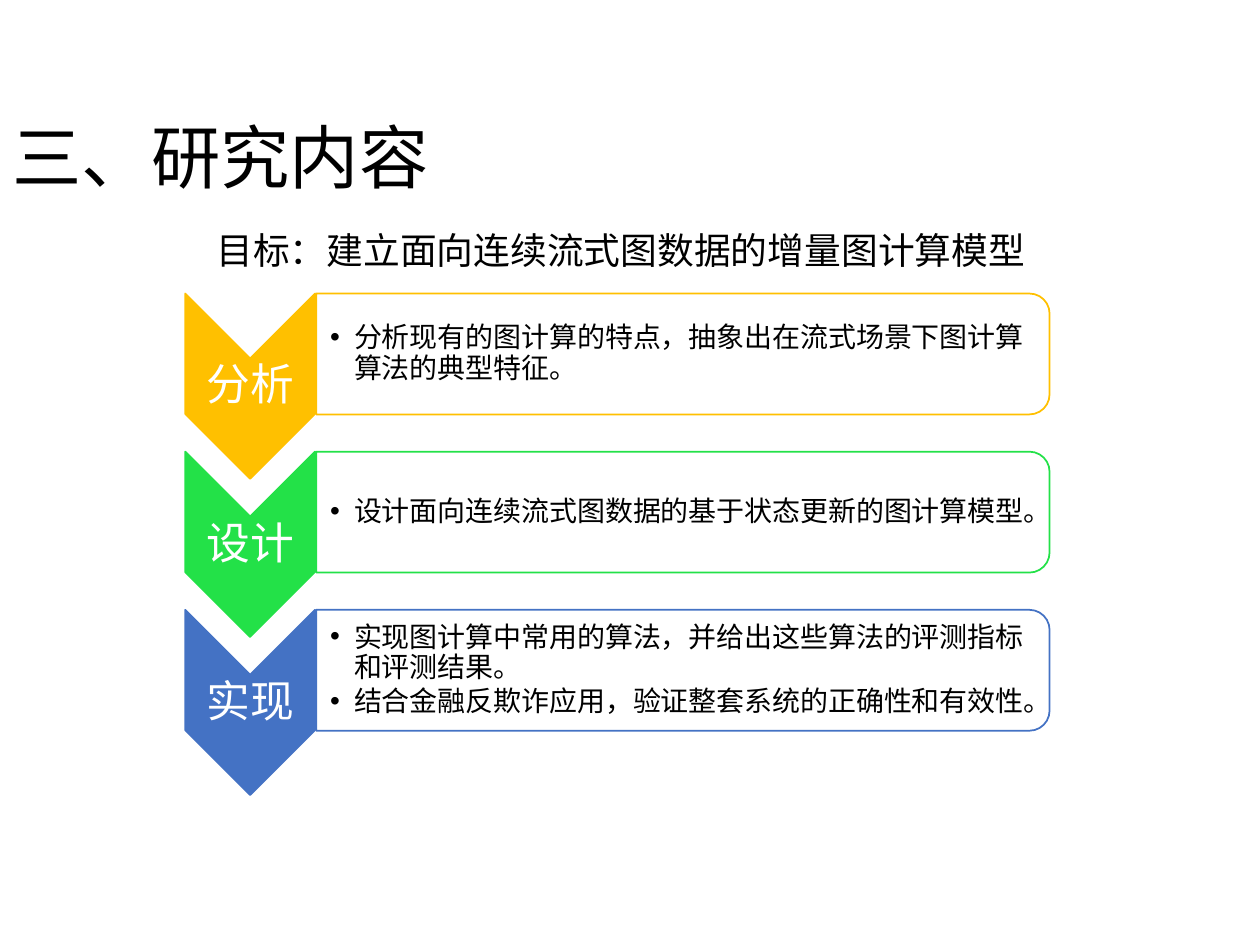
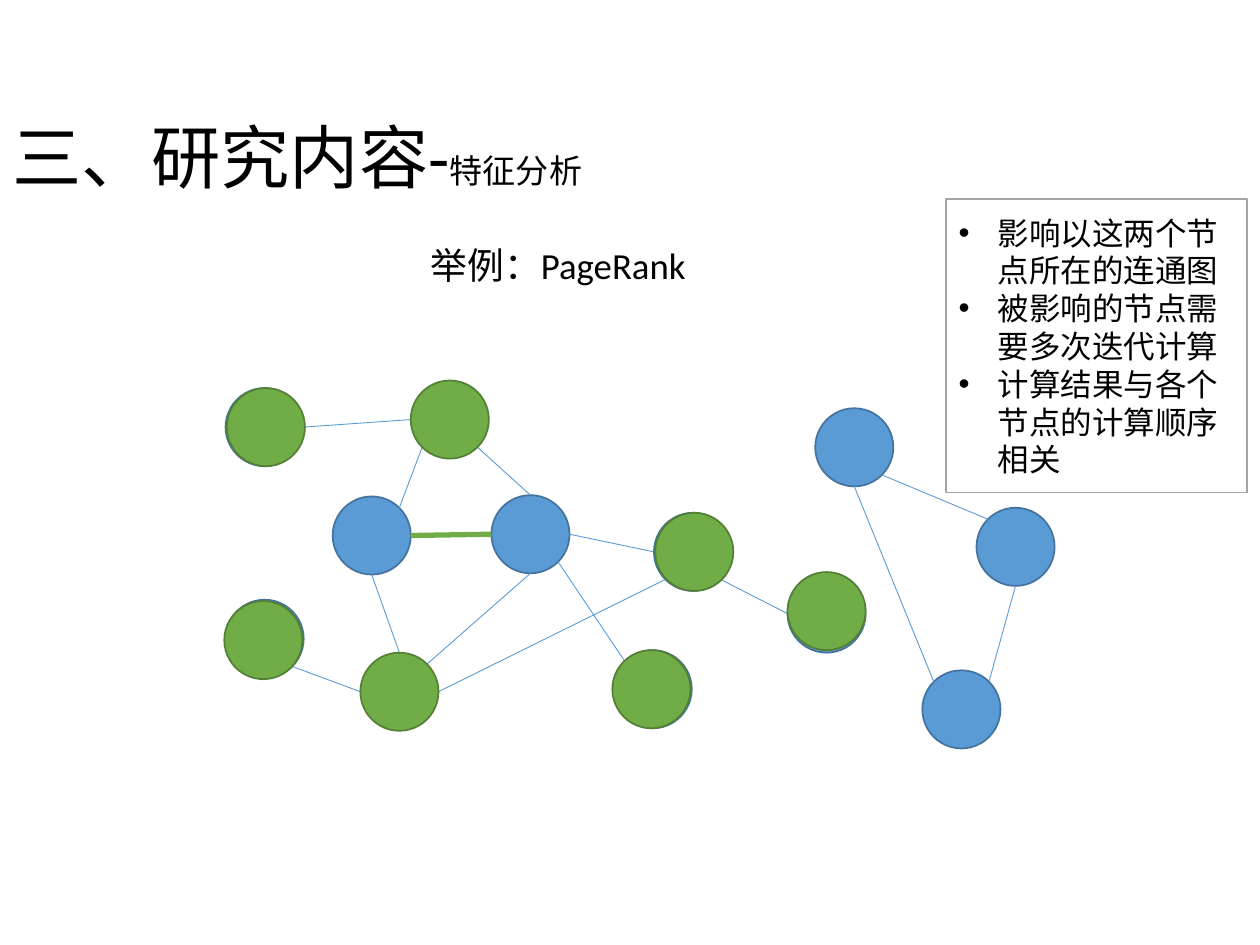
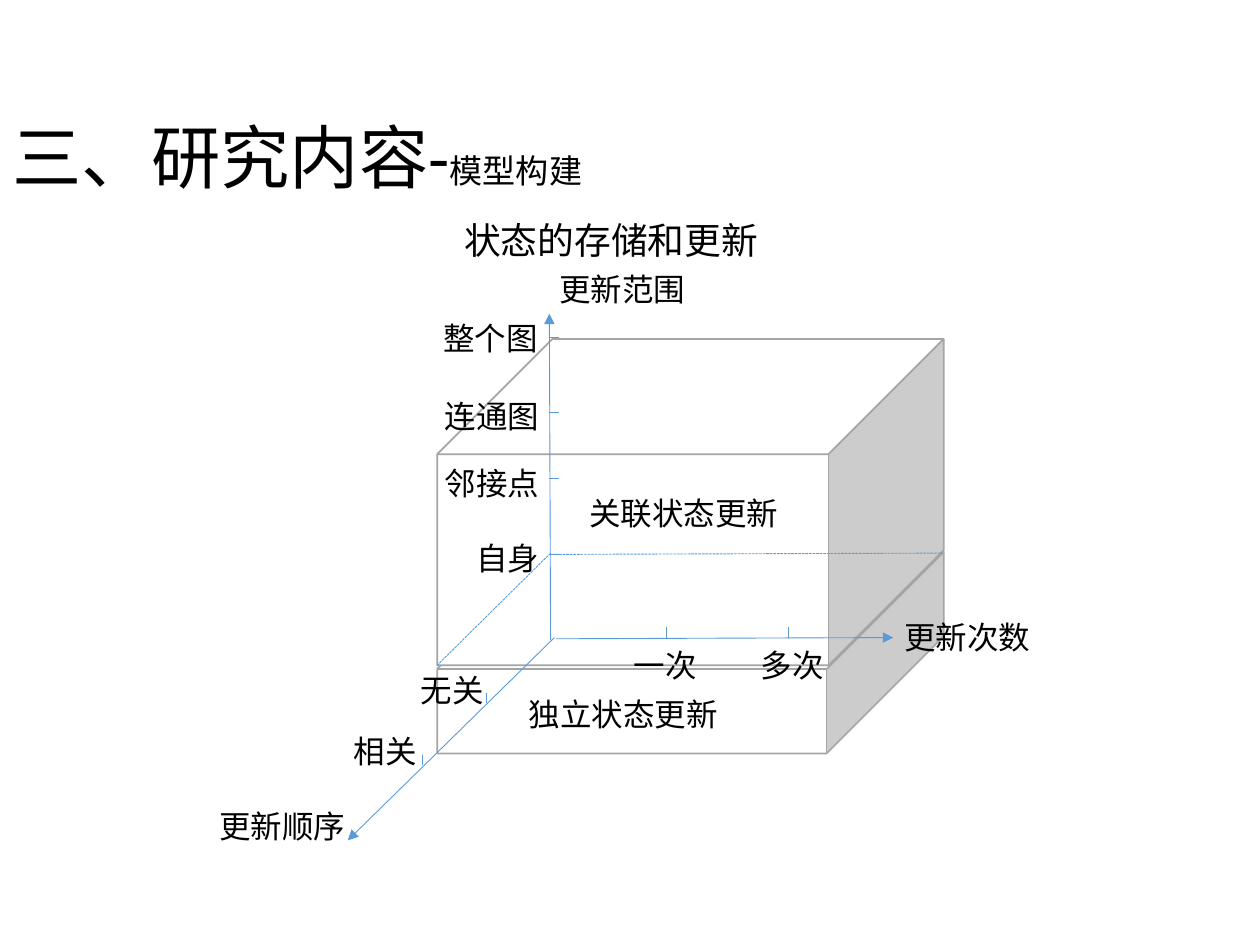
from math import hypot

from lxml import etree
from pptx import Presentation
from pptx.dml.color import RGBColor
from pptx.enum.dml import MSO_LINE
from pptx.enum.shapes import MSO_CONNECTOR, MSO_SHAPE
from pptx.enum.text import MSO_ANCHOR, MSO_AUTO_SIZE, PP_ALIGN
from pptx.oxml.ns import qn
from pptx.util import Emu, Inches, Pt

CHEVRON, CARD = MSO_SHAPE.CHEVRON, MSO_SHAPE.ROUND_2_SAME_RECTANGLE
NODE, CUBE, RECTANGLE = MSO_SHAPE.FLOWCHART_CONNECTOR, MSO_SHAPE.CUBE, MSO_SHAPE.RECTANGLE
STRAIGHT, DASHED = MSO_CONNECTOR.STRAIGHT, MSO_LINE.SQUARE_DOT
LEFT, CENTER = PP_ALIGN.LEFT, PP_ALIGN.CENTER
TOP, MIDDLE = MSO_ANCHOR.TOP, MSO_ANCHOR.MIDDLE
FIT_SHAPE, NO_FIT = MSO_AUTO_SIZE.SHAPE_TO_FIT_TEXT, MSO_AUTO_SIZE.NONE

FONT = "Calibri"
TITLE = "三、研究内容"
COLORS = {
    "text": "000000", "white": "FFFFFF", "gray": "A5A5A5",
    "amber": "FFC000", "lime": "23E148", "indigo": "4472C4",
    "blue": "5B9BD5", "blue_edge": "43739E",
    "green": "70AD47", "green_edge": "538035",
}

STEPS = [
    ("分析", "amber", ["分析现有的图计算的特点，抽象出在流式场景下图计算算法的典型特征。"]),
    ("设计", "lime", ["设计面向连续流式图数据的基于状态更新的图计算模型。"]),
    ("实现", "indigo", ["实现图计算中常用的算法，并给出这些算法的评测指标和评测结果。",
                      "结合金融反欺诈应用，验证整套系统的正确性和有效性。"]),
]

NODE_SIZE = 0.62
NODES = {
    "a": (1.79, 3.08), "b": (3.26, 3.02), "c": (2.64, 3.94), "d": (3.9, 3.93),
    "e": (1.79, 4.76), "f": (2.86, 5.18), "g": (4.87, 5.16), "h": (5.19, 4.07),
    "i": (6.25, 4.56), "j": (6.47, 3.24), "k": (7.32, 5.32), "l": (7.75, 4.03),
}
# Offset of the green disc that marks an affected node
AFFECTED = {
    "b": (0, 0), "h": (0.01, 0), "f": (0, 0), "g": (-0.01, 0),
    "i": (0, -0.02), "e": (-0.01, 0.01), "a": (0.01, 0),
}
COMPASS = {
    "N": (0, -1), "NE": (1, -1), "E": (1, 0), "SE": (1, 1),
    "S": (0, 1), "SW": (-1, 1), "W": (-1, 0), "NW": (-1, -1),
}
EDGES = [
    "b W a E", "e SE f W", "c NE b SW", "d E h W", "d SE g NW", "h SW f E",
    "b SE d N", "c S f N", "f NE d S", "h SE i W", "j SE l NW", "l S k NE", "j S k NW",
]
NEW_EDGE = "c E d W"
FINDINGS = ["影响以这两个节点所在的连通图", "被影响的节点需要多次迭代计算", "计算结果与各个节点的计算顺序相关"]


def color_of(name):
    return RGBColor.from_string(COLORS[name])


def add_span(para, text, size, color="text"):
    span = para.add_run()
    span.text = text
    span.font.name = FONT
    span.font.size = Pt(size)
    span.font.color.rgb = color_of(color)


def add_bullet(para, indent):
    properties = para._p.get_or_add_pPr()
    properties.set("marL", str(Inches(indent)))
    properties.set("indent", str(-Inches(indent)))
    etree.SubElement(properties, qn("a:buFont")).set("typeface", "Arial")
    etree.SubElement(properties, qn("a:buChar")).set("char", "•")


def write(frame, lines, size=18, color="text", align=LEFT, anchor=TOP, wrap=True,
          fit=NO_FIT, margins=(0.1, 0.05, 0.1, 0.05), spacing=None, after=0, bullet=None):
    """Fill a text frame, one paragraph for each line."""
    frame.word_wrap, frame.auto_size, frame.vertical_anchor = wrap, fit, anchor
    (frame.margin_left, frame.margin_top,
     frame.margin_right, frame.margin_bottom) = map(Inches, margins)
    for number, line in enumerate(lines):
        para = frame.add_paragraph() if number else frame.paragraphs[0]
        para.alignment = align
        para.space_before, para.space_after = Pt(0), Pt(after)
        if spacing:
            para.line_spacing = spacing
        if bullet:
            add_bullet(para, bullet)
        add_span(para, line, size, color)


def add_text(page, box, *lines, **style):
    shape = page.shapes.add_textbox(*map(Inches, box))
    write(shape.text_frame, lines, **style)
    return shape


def add_label(page, left, top, width, text, size=18, **style):
    height = 0.45 if size > 18 else 0.4
    return add_text(page, (left, top, width, height), text, size=size, fit=FIT_SHAPE, **style)


def add_figure(page, kind, box, fill, line):
    shape = page.shapes.add_shape(kind, *map(Inches, box))
    shape.shadow.inherit = False
    shape.fill.solid()
    shape.fill.fore_color.rgb = color_of(fill)
    shape.line.color.rgb = color_of(line)
    shape.line.width = Pt(1)
    return shape


def add_turned(page, kind, box, fill, line):
    """Add a shape turned by 90 degrees that covers the box once turned."""
    left, top, width, height = box
    shift = (width - height) / 2
    shape = add_figure(page, kind, (left + shift, top - shift, height, width), fill, line)
    shape.rotation = 90


def add_line(page, start, end, color="blue", width=0.5, dash=None, arrow=False):
    line = page.shapes.add_connector(STRAIGHT, *map(Inches, (*start, *end)))
    line.line.color.rgb = color_of(color)
    line.line.width = Pt(width)
    if dash:
        line.line.dash_style = dash
    if arrow:
        etree.SubElement(line.line._ln, qn("a:tailEnd")).set("type", "triangle")
    etree.SubElement(line._element.spPr, qn("a:effectLst"))


def add_page(deck, subtitle=None):
    page = deck.slides.add_slide(deck.slide_layouts[5])
    title = page.shapes.title
    title.left, title.top, title.width, title.height = map(Inches, (0, 0.92, 8.62, 0.71))
    write(title.text_frame, [TITLE + ("-" if subtitle else "")],
          size=39.6, anchor=MIDDLE, spacing=0.9)
    if subtitle:
        add_span(title.text_frame.paragraphs[0], subtitle, 18.9)
    return page


def add_step(page, left, top, name, color, points):
    add_turned(page, CHEVRON, (left, top, 1.03, 1.47), color, color)
    add_text(page, (left, top + 0.52, 1.03, 0.44), name, size=25, color="white",
             align=CENTER, anchor=MIDDLE, margins=(0.02,) * 4, spacing=0.9, after=8.75)
    add_turned(page, CARD, (left + 1.04, top, 5.82, 0.96), "white", color)
    add_text(page, (left + 1.03, top + 0.05, 5.78, 0.86), *points, size=16, anchor=MIDDLE,
             margins=(0.12, 0.01, 0.01, 0.01), spacing=0.9, after=2.4, bullet=0.19)


def build_content(deck):
    page = add_page(deck)
    add_label(page, 1.62, 1.76, 6.7, "目标：建立面向连续流式图数据的增量图计算模型", size=21)
    for row, step in enumerate(STEPS):
        add_step(page, 1.47, 2.33 + row * 1.255, *step)


def rim_point(name, direction):
    """Return the point on the rim of a node in a compass direction."""
    radius = NODE_SIZE / 2
    dx, dy = COMPASS[direction]
    reach = radius / hypot(dx, dy)
    left, top = NODES[name]
    return left + radius + dx * reach, top + radius + dy * reach


def add_edge(page, edge, **style):
    start, leaving, end, arriving = edge.split()
    add_line(page, rim_point(start, leaving), rim_point(end, arriving), **style)


def add_graph(page):
    for name, (left, top) in NODES.items():
        if AFFECTED.get(name) != (0, 0):
            add_figure(page, NODE, (left, top, NODE_SIZE, NODE_SIZE), "blue", "blue_edge")
    for edge in EDGES:
        add_edge(page, edge)
    add_edge(page, NEW_EDGE, color="green", width=3)
    for name, (dx, dy) in AFFECTED.items():
        left, top = NODES[name]
        add_figure(page, NODE, (left + dx, top + dy, NODE_SIZE, NODE_SIZE),
                   "green", "green_edge")


def build_analysis(deck):
    page = add_page(deck, "特征分析")
    add_label(page, 3.32, 1.88, 3.8, "举例：PageRank", size=21)
    add_graph(page)
    findings = add_figure(page, RECTANGLE, (7.51, 1.58, 2.39, 2.33), "white", "gray")
    write(findings.text_frame, FINDINGS, anchor=MIDDLE, bullet=0.31)


def add_cubes(page, left):
    for top, height, depth in [(4.38, 1.6, 0.581), (2.69, 2.59, 0.353)]:
        cube = add_figure(page, CUBE, (left, top, 4.02, height), "white", "gray")
        cube.adjustments[0] = depth


def add_count_axis(page):
    add_line(page, (4.41, 5.07), (7.09, 5.06), arrow=True)
    add_label(page, 7.08, 4.86, 1.41, "更新次数")
    for tick, left, text in [(5.29, 4.93, "一次"), (6.26, 5.94, "多次")]:
        add_line(page, (tick, 5.06), (tick, 4.98))
        add_label(page, left, 5.08, 0.72, text)


def add_order_axis(page):
    add_line(page, (4.4, 5.06), (2.76, 6.67), arrow=True)
    add_label(page, 1.64, 6.36, 1.42, "更新顺序")
    for x, y, left, top, text in [(3.86, 5.5, 3.24, 5.28, "无关"), (3.35, 5.99, 2.71, 5.76, "相关")]:
        add_line(page, (x, y), (x, y + 0.08))
        add_label(page, left, top, 0.95, text)


def add_range_axis(page):
    add_line(page, (4.37, 5.08), (4.36, 2.49), arrow=True)
    add_label(page, 4.34, 2.09, 1.27, "更新范围")
    for tick, left, top, width, text in [
        (4.4, 3.68, 4.23, 0.73, "自身"), (3.8, 3.43, 3.63, 0.95, "邻接点"),
        (3.27, 3.43, 3.1, 0.95, "连通图"), (2.68, 3.42, 2.48, 0.95, "整个图"),
    ]:
        add_line(page, (4.36, tick), (4.44, tick))
        add_label(page, left, top, width, text)


def build_model(deck):
    page = add_page(deck, "模型构建")
    add_cubes(page, 3.47)
    heading = add_label(page, 3.35, 1.68, 2.78, "状态的存储和更新", size=21,
                        align=CENTER, wrap=False)
    heading.text_frame.paragraphs[0]._p.get_or_add_pPr().set("indent", str(Inches(0.22)))
    add_count_axis(page)
    add_order_axis(page)
    add_range_axis(page)
    add_label(page, 4.1, 5.47, 2.1, "独立状态更新")
    add_label(page, 4.58, 3.87, 1.8, "关联状态更新")
    for start, end in [((4.37, 4.39), (3.47, 5.28)), ((4.38, 4.4), (7.48, 4.39))]:
        add_line(page, start, end, dash=DASHED)


def main():
    deck = Presentation()
    deck.slide_width, deck.slide_height = Emu(Inches(10)), Emu(Inches(7.5))
    build_content(deck)
    build_analysis(deck)
    build_model(deck)
    deck.save("out.pptx")


if __name__ == "__main__":
    main()
